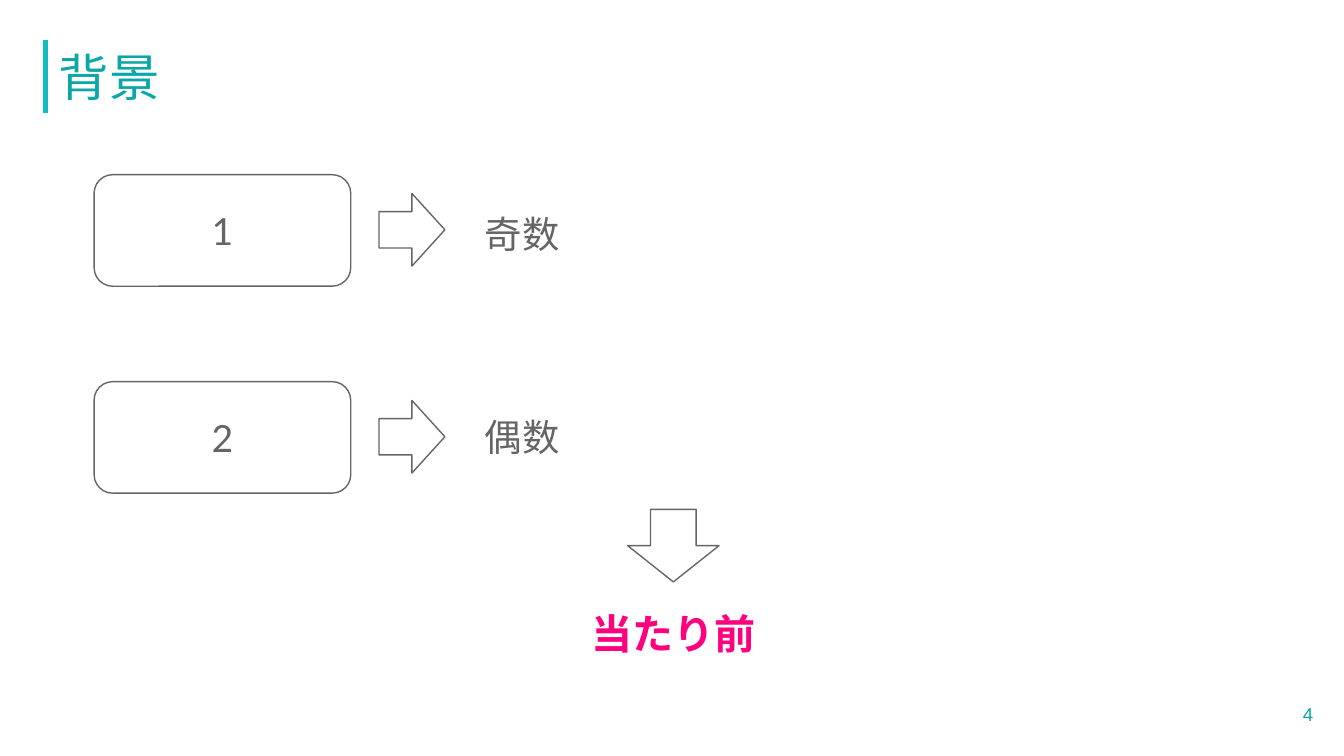
"""Build the background slide on odd and even numbers."""
from lxml import etree
from pptx import Presentation
from pptx import util as u
from pptx.dml.color import RGBColor
from pptx.enum import shapes, text
from pptx.oxml.ns import qn

TEAL = "0BA7A7"
BAR = "0FBFBF"
GREY = "656565"
PINK = "FF007F"
LEFT, CENTER, RIGHT = text.PP_ALIGN.LEFT, text.PP_ALIGN.CENTER, text.PP_ALIGN.RIGHT
WIDTH = u.Inches(10)
FRAME = {
    "word_wrap": True,
    "vertical_anchor": text.MSO_ANCHOR.MIDDLE,
    "margin_left": u.Inches(0.1),
    "margin_right": u.Inches(0.1),
    "margin_top": u.Inches(0.1),
    "margin_bottom": u.Inches(0.1),
}


def set_all(target, values):
    for name, value in values.items():
        setattr(target, name, value)


def color(hex_string):
    return RGBColor.from_string(hex_string)


def inches(values):
    return [u.Inches(value) for value in values]


def write(box, words, size, hex_string, align=LEFT, font="Lato", bold=False):
    set_all(box.text_frame, FRAME)
    para = box.text_frame.paragraphs[0]
    para.alignment = align
    span = para.add_run()
    span.text = words
    set_all(span.font, {"name": font, "size": u.Pt(size), "bold": bold})
    span.font.color.rgb = color(hex_string)


def add_label(page, area, words, size, hex_string, **style):
    box = page.shapes.add_textbox(*inches(area))
    write(box, words, size, hex_string, **style)


def add_outline(page, kind, area):
    shape = page.shapes.add_shape(kind, *inches(area))
    shape.shadow.inherit = False
    shape.fill.background()
    shape.line.color.rgb = color(GREY)
    shape.line.width = u.Pt(0.75)
    return shape


def add_bar(page, x, top, bottom):
    bar = page.shapes.add_connector(
        shapes.MSO_CONNECTOR.STRAIGHT, *inches((x, top, x, bottom)))
    bar.line.color.rgb = color(BAR)
    bar.line.width = u.Pt(3)
    etree.SubElement(bar._element.spPr, qn("a:effectLst"))


def add_example(page, top, label_top, number, parity):
    card = add_outline(page, shapes.MSO_SHAPE.ROUNDED_RECTANGLE, (0.7, top, 1.91, 0.83))
    write(card, number, 20, GREY, align=CENTER)
    add_outline(page, shapes.MSO_SHAPE.RIGHT_ARROW, (2.82, top + 0.14, 0.49, 0.54))
    add_label(page, (3.51, label_top, 3.25, 0.88), parity, 20, GREY)


def main():
    deck = Presentation()
    set_all(deck, {"slide_width": WIDTH, "slide_height": WIDTH * 9 // 16})
    page = deck.slides.add_slide(deck.slide_layouts[6])

    add_bar(page, 0.34, 0.3, 0.84)
    add_label(page, (9.27, 5.1, 0.6, 0.43), "4", 10, TEAL, align=RIGHT, font="Arial")
    add_label(page, (0.34, 0.3, 9.32, 0.54), "背景", 27, TEAL)

    add_example(page, 1.3, 1.3, "1", "奇数")
    add_example(page, 2.84, 2.81, "2", "偶数")

    add_outline(page, shapes.MSO_SHAPE.DOWN_ARROW, (4.67, 3.79, 0.68, 0.54))
    add_label(page, (3.85, 4.44, 2.33, 0.54), "当たり前", 22, PINK, align=CENTER, bold=True)

    deck.save("out.pptx")


if __name__ == "__main__":
    main()
